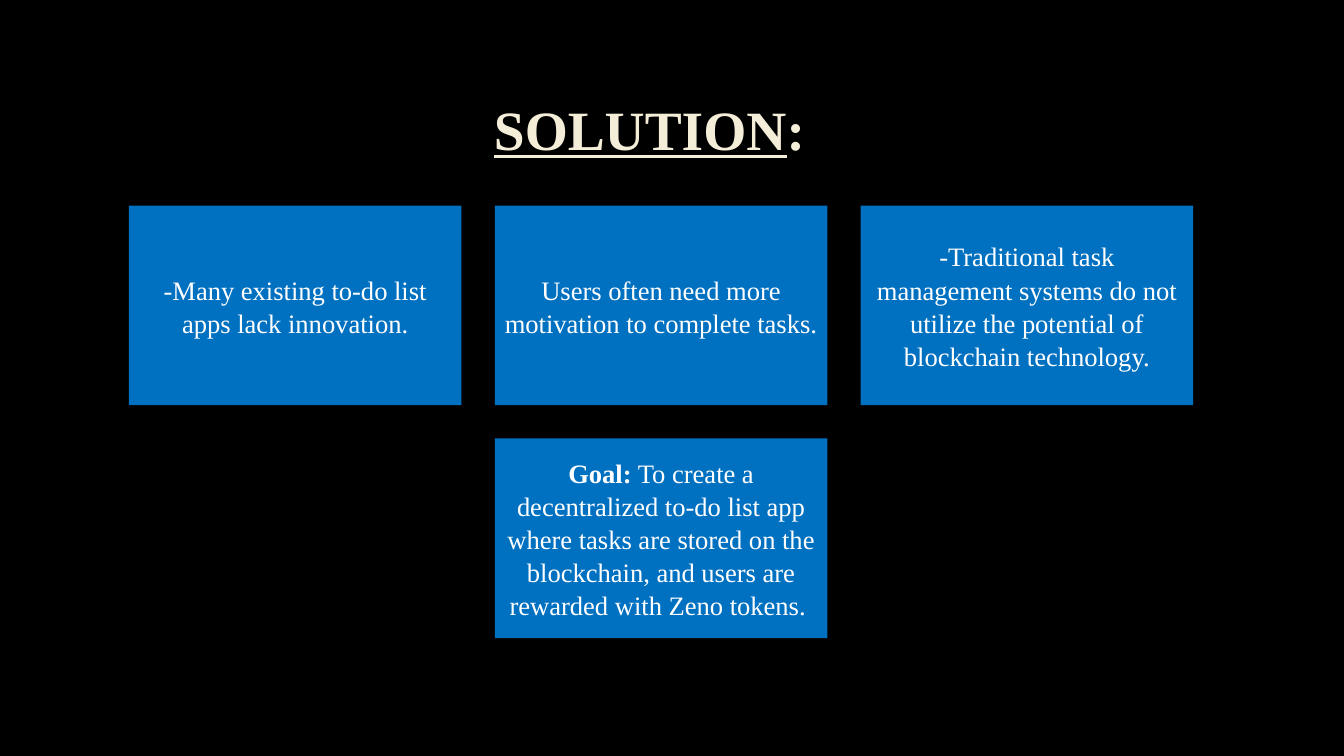
from dataclasses import dataclass

from pptx import Presentation
from pptx import util as u
from pptx.dml import color
from pptx.enum import shapes, text


@dataclass(frozen=True)
class Theme:
    face: str = "Times New Roman"
    back: str = "000000"
    card: str = "0070C0"
    body: str = "FFFFFF"
    title: str = "F4EDD8"
    big: float = 39.6
    small: float = 19


THEME = Theme()
PAD = 0.2
GAP = 0.84
CARDS = [
    (0, 0, [("-Many existing to-do list apps lack innovation.", {})]),
    (1, 0, [("Users often need more motivation to complete tasks.", {})]),
    (2, 0, [("-Traditional task management systems do not utilize "
             "the potential of blockchain technology.", {})]),
    (1, 1, [("Goal:", {"bold": True}),
            (" To create a decentralized to-do list app where tasks are stored "
             "on the blockchain, and users are rewarded with Zeno tokens. ", {})]),
]


def paint(fill, tone):
    fill.solid()
    fill.fore_color.rgb = color.RGBColor.from_string(tone)


def apply(item, form):
    for key, value in form.items():
        setattr(item, key, value)


def write(frame, runs, size, tone, space):
    apply(frame, {
        "word_wrap": True,
        "vertical_anchor": text.MSO_ANCHOR.MIDDLE,
        "margin_left": u.Cm(PAD),
        "margin_right": u.Cm(PAD),
        "margin_top": u.Cm(PAD),
        "margin_bottom": u.Cm(PAD),
    })
    para = frame.paragraphs[0]
    apply(para, {"alignment": text.PP_ALIGN.CENTER, "line_spacing": space})
    for words, form in runs:
        run = para.add_run()
        run.text = words
        apply(run.font, {"name": THEME.face, "size": u.Pt(size), **form})
        run.font.color.rgb = color.RGBColor.from_string(tone)


def title(slide, left, top, width, height):
    box = slide.shapes.add_textbox(*map(u.Cm, (left, top, width, height)))
    runs = [("SOLUTION", {"bold": True, "underline": True}),
            (":", {"bold": True})]
    write(box.text_frame, runs, THEME.big, THEME.title, 1.0)


def card(slide, left, top, width, height, runs):
    box = slide.shapes.add_shape(
        shapes.MSO_SHAPE.RECTANGLE, *map(u.Cm, (left, top, width, height)))
    box.shadow.inherit = False
    paint(box.fill, THEME.card)
    box.line.fill.background()
    write(box.text_frame, runs, THEME.small, THEME.body, 1.04)


def grid(slide, left, top, width, height):
    wide = (width - 2 * GAP) / 3
    high = (height - GAP) / 2
    for col, row, runs in CARDS:
        card(slide, left + col * (wide + GAP), top + row * (high + GAP),
             wide, high, runs)


def main():
    deck = Presentation()
    apply(deck, {"slide_width": u.Cm(33.87), "slide_height": u.Cm(19.05)})
    slide = deck.slides.add_slide(deck.slide_layouts[6])
    paint(slide.background.fill, THEME.back)
    title(slide, 10.37, 2.24, 12, 2)
    grid(slide, 3.25, 5.18, 26.82, 10.9)
    deck.save("out.pptx")


if __name__ == "__main__":
    main()
